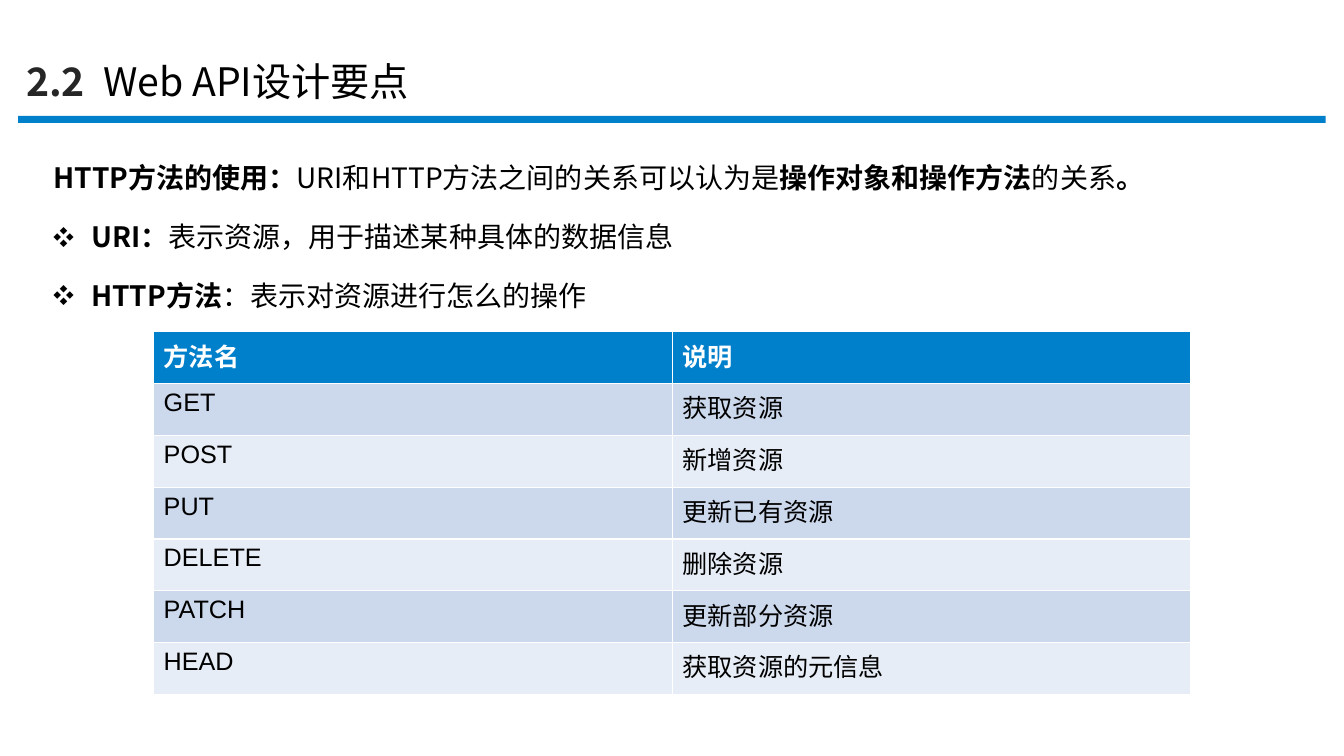
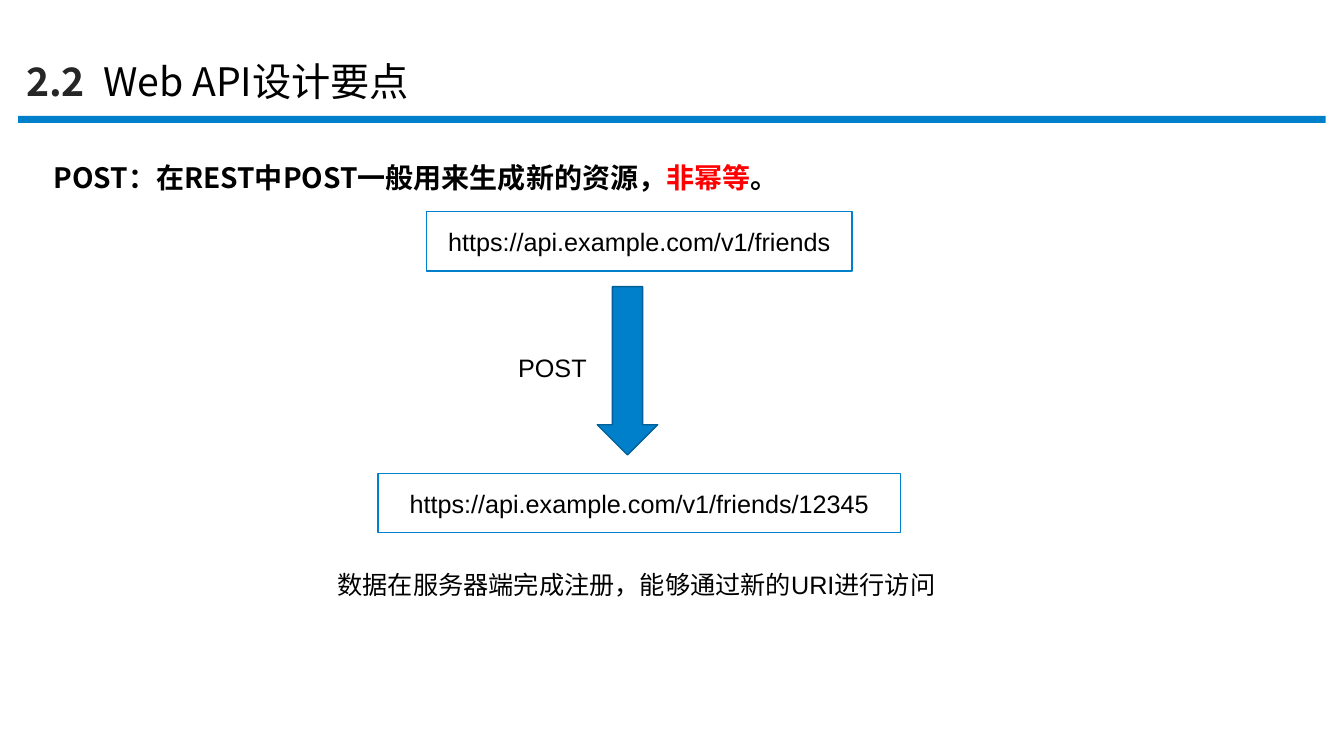
from lxml.etree import SubElement
from pptx import Presentation
from pptx.dml.color import RGBColor
from pptx.enum.shapes import MSO_SHAPE as Shape
from pptx.enum.text import MSO_ANCHOR as Anchor, MSO_AUTO_SIZE as Auto, PP_ALIGN as Align
from pptx.oxml.ns import qn
from pptx.util import Pt

BLUE = RGBColor(0x00, 0x80, 0xCB)
EDGE = RGBColor(0x00, 0x5F, 0x96)
BLACK = RGBColor(0x00, 0x00, 0x00)
GREY = RGBColor(0x26, 0x26, 0x26)
WHITE = RGBColor(0xFF, 0xFF, 0xFF)
RED = RGBColor(0xFF, 0x00, 0x00)
BANDS = RGBColor(0xCC, 0xD8, 0xEC), RGBColor(0xE7, 0xED, 0xF6)
SANS, CJK = "Arial", "Noto Sans CJK SC"

# Runs are (text, bold, colour)
TITLE = [("2.2\t", True, GREY), ("Web API设计要点", False, BLACK)]
USAGE = [
    [("HTTP方法的使用：", True, BLACK),
     ("URI和HTTP方法之间的关系可以认为是", False, BLACK),
     ("操作对象和操作方法", True, BLACK),
     ("的关系", False, BLACK),
     ("。", True, BLACK)],
    [("URI：", True, BLACK), ("表示资源，用于描述某种具体的数据信息", False, BLACK)],
    [("HTTP方法", True, BLACK), ("：表示对资源进行怎么的操作", False, BLACK)],
]
POST = [
    [("POST：在REST中POST一般用来生成新的资源，", True, BLACK),
     ("非幂等", True, RED),
     ("。", True, BLACK)],
]
METHODS = [
    ("方法名", "说明"),
    ("GET", "获取资源"),
    ("POST", "新增资源"),
    ("PUT", "更新已有资源"),
    ("DELETE", "删除资源"),
    ("PATCH", "更新部分资源"),
    ("HEAD", "获取资源的元信息"),
]
# Address, top, width
LINKS = [
    ("https://api.example.com/v1/friends", 151, 304),
    ("https://api.example.com/v1/friends/12345", 338, 373),
]
LINK_MID, LINK_H = 456.6, 42.5
# Text, left, top, width, height
NOTES = [
    ("POST", 363, 248.5, 64, 29),
    ("数据在服务器端完成注册，能够通过新的URI进行访问", 234, 403, 442, 50),
]


def style(para, size, name=SANS, color=BLACK, bold=False):
    font = para.font
    font.size, font.name, font.bold = Pt(size), name, bold
    font.color.rgb = color
    base = para._p.pPr.find(qn("a:defRPr"))
    east = SubElement(base, qn("a:ea"), typeface=CJK)
    base.find(qn("a:latin")).addnext(east)


def add_runs(para, runs):
    for text, bold, color in runs:
        run = para.add_run()
        run.text = text
        run.font.bold = bold
        run.font.color.rgb = color


def add_bullet(para):
    props = para._p.get_or_add_pPr()
    props.set("marL", str(Pt(27)))
    props.set("indent", str(-Pt(27)))
    SubElement(props, qn("a:buSzPct"), val="75000")
    SubElement(props, qn("a:buFont"), typeface=CJK)
    SubElement(props, qn("a:buChar"), char="❖")


def add_box(slide, left, top, width, height):
    box = slide.shapes.add_textbox(Pt(left), Pt(top), Pt(width), Pt(height))
    box.text_frame.word_wrap = True
    return box.text_frame


def add_shape(slide, kind, left, top, width, height, fill, line=None):
    shape = slide.shapes.add_shape(kind, Pt(left), Pt(top), Pt(width), Pt(height))
    shape.shadow.inherit = False
    shape.fill.solid()
    shape.fill.fore_color.rgb = fill
    if line is None:
        shape.line.fill.background()
    else:
        shape.line.color.rgb = line
        shape.line.width = Pt(1)
    return shape


def add_slide(deck, paras):
    """Add a slide with title, blue rule and lead text."""
    slide = deck.slides.add_slide(deck.slide_layouts[5])
    add_shape(slide, Shape.RECTANGLE, 13, 82.8, 934, 5, BLUE)
    title = slide.shapes.title
    title.left, title.top, title.width, title.height = Pt(11.5), Pt(37), Pt(508), Pt(41)
    frame = title.text_frame
    frame.auto_size, frame.vertical_anchor = Auto.NONE, Anchor.TOP
    para = frame.paragraphs[0]
    para.alignment, para.line_spacing = Align.LEFT, Pt(34)
    tabs = SubElement(para._p.get_or_add_pPr(), qn("a:tabLst"))
    SubElement(tabs, qn("a:tab"), pos=str(Pt(55)), algn="l")
    style(para, 28, CJK)
    add_runs(para, TITLE)

    frame = add_box(slide, 31, 99, 893, 42 * len(paras) + 3)
    for i, runs in enumerate(paras):
        para = frame.add_paragraph() if i else frame.paragraphs[0]
        para.line_spacing = Pt(36)
        if i:
            para.space_before = Pt(6)
            add_bullet(para)
        style(para, 20, CJK)
        add_runs(para, runs)
    return slide


def add_methods(slide):
    rows, cols = len(METHODS), len(METHODS[0])
    table = slide.shapes.add_table(
        rows, cols, Pt(109.75), Pt(237), Pt(741), Pt(37 * rows)).table
    for r, row in enumerate(METHODS):
        for c, text in enumerate(row):
            cell = table.cell(r, c)
            cell.text = text
            cell.fill.solid()
            cell.fill.fore_color.rgb = BANDS[(r - 1) % 2] if r else BLUE
            style(cell.text_frame.paragraphs[0], 18,
                  color=BLACK if r else WHITE, bold=r == 0)


def add_flow(slide):
    for text, top, width in LINKS:
        box = add_shape(slide, Shape.RECTANGLE, LINK_MID - width / 2, top,
                        width, LINK_H, WHITE, BLUE)
        frame = box.text_frame
        frame.text = text
        frame.vertical_anchor = Anchor.MIDDLE
        para = frame.paragraphs[0]
        para.alignment = Align.CENTER
        style(para, 18)
    add_shape(slide, Shape.DOWN_ARROW, 426.6, 204.8, 43.2, 120.2, BLUE, EDGE)
    for text, *place in NOTES:
        frame = add_box(slide, *place)
        frame.text = text
        para = frame.paragraphs[0]
        para.line_spacing = Pt(21.5)
        style(para, 18)


def main():
    deck = Presentation()
    deck.slide_width, deck.slide_height = Pt(960), Pt(540)
    add_methods(add_slide(deck, USAGE))
    add_flow(add_slide(deck, POST))
    deck.save("out.pptx")


if __name__ == "__main__":
    main()
